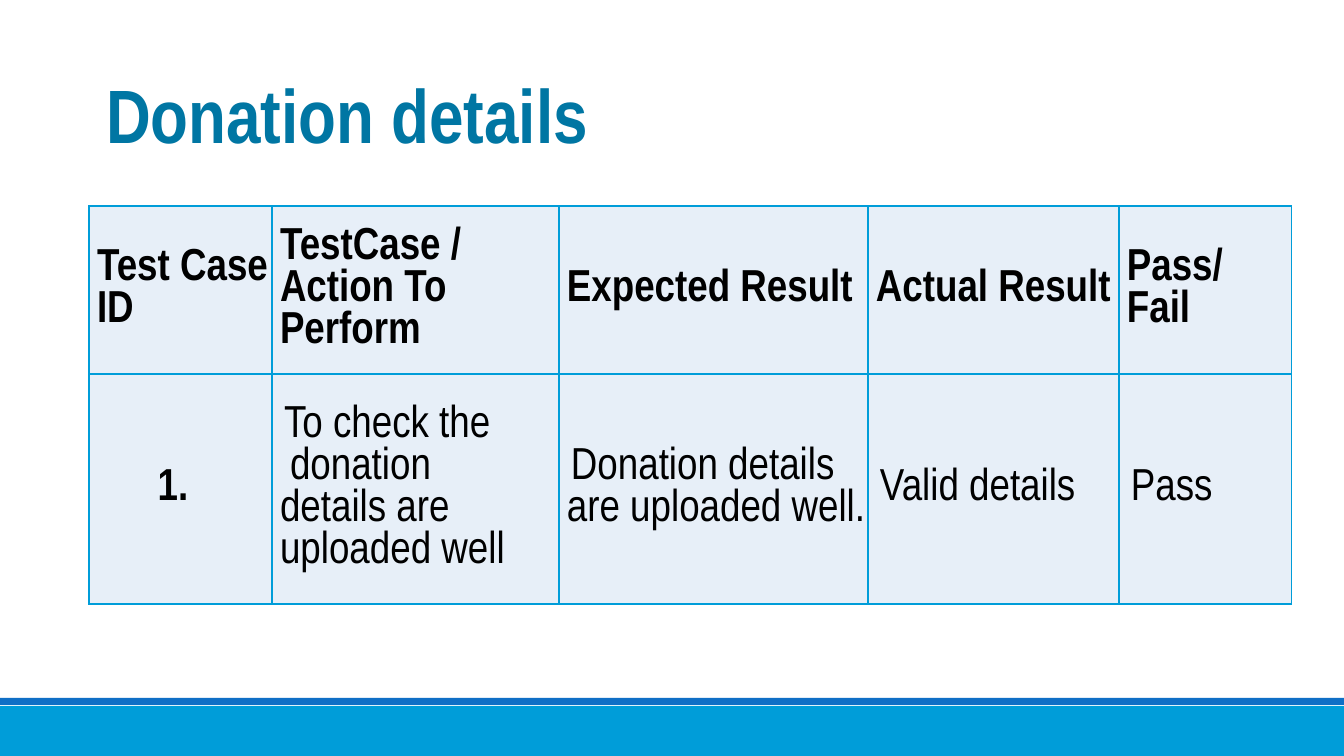
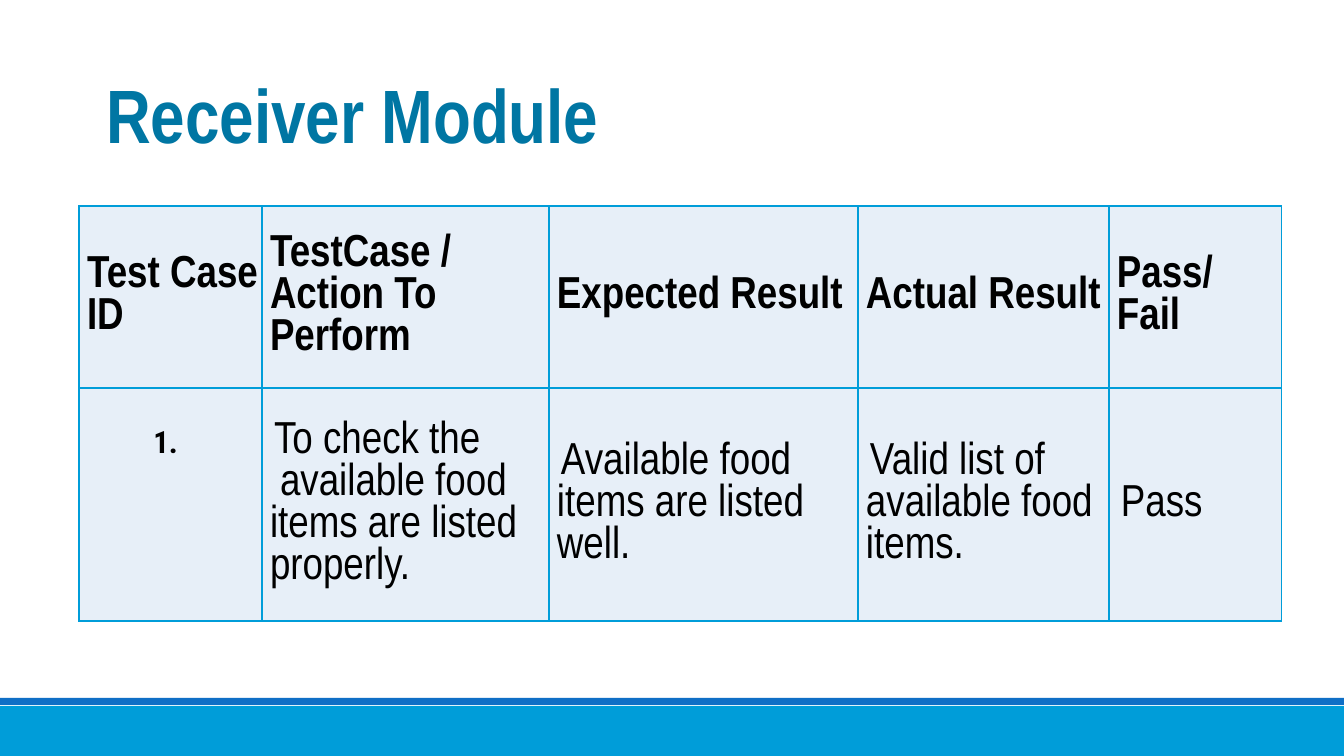
from lxml import etree
from pptx import Presentation
from pptx.dml.color import RGBColor
from pptx.enum.shapes import MSO_SHAPE
from pptx.enum.text import MSO_ANCHOR, PP_ALIGN
from pptx.oxml.ns import qn
from pptx.util import Pt

RECT = MSO_SHAPE.RECTANGLE
TOP, MIDDLE, BOTTOM = MSO_ANCHOR.TOP, MSO_ANCHOR.MIDDLE, MSO_ANCHOR.BOTTOM
LEFT, CENTER = PP_ALIGN.LEFT, PP_ALIGN.CENTER

WIDTH, HEIGHT = 1344, 756
SCALE = 12192000 / WIDTH
TITLE_ONLY = 5


def px(n):
    return round(n * SCALE)


def color(hex_string):
    return RGBColor.from_string(hex_string)


def write(p, text, font="Arial Narrow", size=32, ink="000000", bold=False,
          align=LEFT, left=0, first=0, right=0):
    """Fill a paragraph; left, first and right are indents in px."""
    p.text = text
    p.alignment = align
    pPr = p._p.get_or_add_pPr()
    for name, indent in (("marL", left), ("marR", right), ("indent", first)):
        pPr.set(name, str(px(indent)))
    for r in p.runs:
        r.font.name = font
        r.font.size = Pt(size)
        r.font.bold = bold
        r.font.color.rgb = color(ink)


def set_borders(cell, ink, **widths):
    """Draw cell edges; widths maps L, R, T and B to points."""
    tcPr = cell._tc.get_or_add_tcPr()
    for i, (side, width) in enumerate(widths.items()):
        ln = etree.Element(qn(f"a:ln{side}"), w=str(Pt(width)))
        fill = etree.SubElement(ln, qn("a:solidFill"))
        etree.SubElement(fill, qn("a:srgbClr"), val=ink)
        tcPr.insert(i, ln)


class Deck:
    BLUE, DARK_BLUE, TEAL, PALE = "009DD9", "0F6FC6", "0076A3", "E7EFF8"
    COLUMNS = (183, 287, 309, 251, 173)
    HEADER = ("Test Case ID", "TestCase /\nAction To Perform",
              "Expected Result", "Actual Result", "Pass/ Fail")

    def __init__(self):
        self.prs = Presentation()
        self.prs.slide_width, self.prs.slide_height = px(WIDTH), px(HEIGHT)
        self.layout = self.prs.slide_layouts[TITLE_ONLY]
        self.slide = None

    def add_slide(self, title):
        self.slide = self.prs.slides.add_slide(self.layout)
        if len(self.prs.slides) == 1:
            self.band(706, 50, self.BLUE, 101)
            self.band(698, 7, self.DARK_BLUE, 102)
        self.title(title)

    def band(self, top, height, fill, shape_id):
        """Draw a full-width band and move it to the shared layout."""
        sp = self.slide.shapes.add_shape(RECT, 0, px(top), px(WIDTH), px(height))
        sp.shadow.inherit = False
        sp.fill.solid()
        sp.fill.fore_color.rgb = color(fill)
        sp.line.fill.background()
        sp.element.nvSpPr.cNvPr.set("id", str(shape_id))
        self.layout.shapes.element.insert(2, sp.element)

    def title(self, text):
        sp = self.slide.shapes.title
        sp.left, sp.top, sp.width, sp.height = px(96), px(77), px(1109), px(87)
        tf = sp.text_frame
        tf.word_wrap = True
        tf.vertical_anchor = BOTTOM
        p = tf.paragraphs[0]
        write(p, text, size=54, ink=self.TEAL, bold=True)
        p.line_spacing = 0.85

    def table(self, left, row_heights, result, number_format):
        rows = (self.HEADER, result)
        table = self.slide.shapes.add_table(
            len(rows), len(self.COLUMNS), px(left), px(206),
            px(sum(self.COLUMNS)), px(sum(row_heights))).table
        table.first_row = table.horz_banding = False
        for column, width in zip(table.columns, self.COLUMNS):
            column.width = px(width)
        for r, (texts, height) in enumerate(zip(rows, row_heights)):
            table.rows[r].height = px(height)
            for c, text in enumerate(texts):
                if r == 0:
                    style = dict(left=8, bold=True)
                elif c == 0:
                    style = dict(align=CENTER, bold=True, **number_format)
                else:
                    style = dict(left=8, first=4)
                self.cell(table.cell(r, c), text, r == 0, **style)

    def cell(self, cell, text, is_header, drop=0, **style):
        """Fill a cell; drop hangs its text that many px below the top."""
        cell.margin_left = cell.margin_right = cell.margin_bottom = 0
        cell.margin_top = px(drop)
        cell.vertical_anchor = TOP if drop else MIDDLE
        cell.fill.solid()
        cell.fill.fore_color.rgb = color(self.PALE)
        top, bottom = (1, 2) if is_header else (2, 1)
        set_borders(cell, self.BLUE, L=1, R=1, T=top, B=bottom)
        tf = cell.text_frame
        for i, line in enumerate(text.split("\n")):
            p = tf.add_paragraph() if i else tf.paragraphs[0]
            if i and not is_header:
                style["first"] = 10
            write(p, line, **style)


def main():
    deck = Deck()

    deck.add_slide("Donation details")
    deck.table(89, (168, 230), (
        "1.", "To check the\ndonation\vdetails are uploaded well",
        "Donation details are uploaded well.", "Valid details", "Pass"),
        dict(right=15))

    deck.add_slide("Receiver Module")
    deck.table(79, (182, 233), (
        "1.", "To check the\navailable food items are listed properly.",
        "Available food items are listed well.",
        "Valid list of available food items.", "Pass"),
        dict(right=10, font="Roboto Condensed", size=22, drop=37))

    deck.prs.save("out.pptx")


if __name__ == "__main__":
    main()
